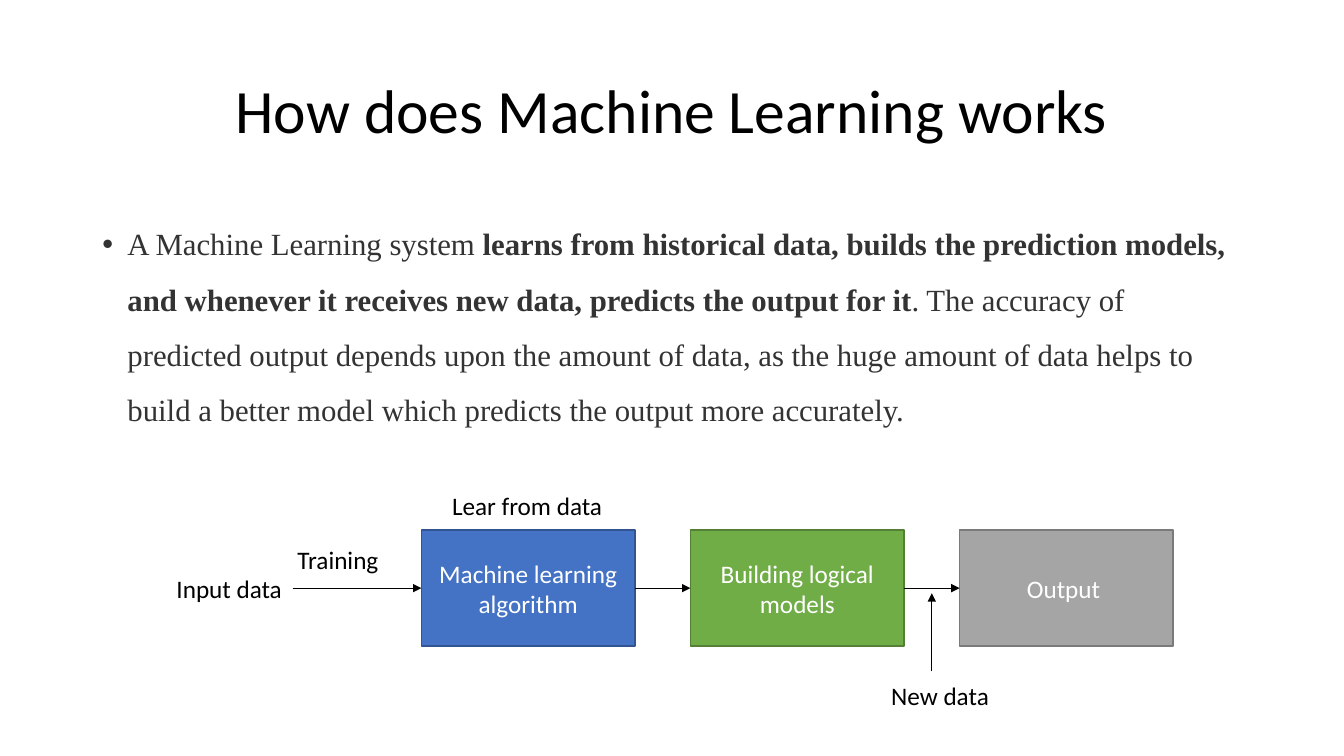
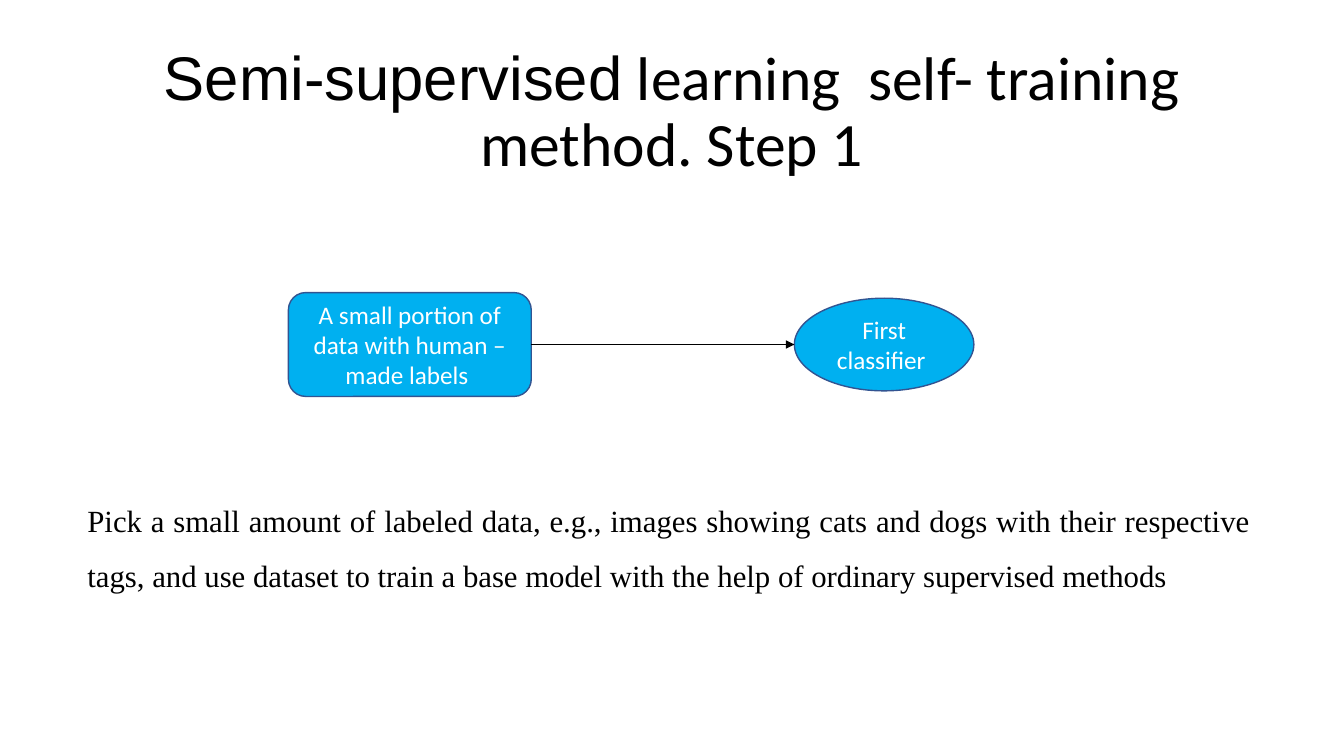
from lxml import etree
from pptx import Presentation
from pptx.dml.color import RGBColor
from pptx.enum.shapes import MSO_CONNECTOR, MSO_SHAPE
from pptx.enum.text import MSO_ANCHOR, MSO_AUTO_SIZE, PP_ALIGN
from pptx.oxml.ns import qn
from pptx.util import Pt

RECT, ROUND, OVAL = MSO_SHAPE.RECTANGLE, MSO_SHAPE.ROUNDED_RECTANGLE, MSO_SHAPE.OVAL
STRAIGHT = MSO_CONNECTOR.STRAIGHT
LEFT, MID, JUST = PP_ALIGN.LEFT, PP_ALIGN.CENTER, PP_ALIGN.JUSTIFY
TOP, CENTER = MSO_ANCHOR.TOP, MSO_ANCHOR.MIDDLE
FIXED = MSO_AUTO_SIZE.NONE

SANS, PLAIN, SERIF = "Calibri", "Arial", "Times New Roman"
COLORS = {
    "black": "000000", "white": "FFFFFF", "body": "333333",
    "blue": "4472C4", "navy": "325491", "green": "70AD47", "moss": "538035",
    "gray": "A5A5A5", "slate": "7A7A7A", "sky": "00B0F0",
}
LABEL_H = 28.8


def color(name):
    return RGBColor.from_string(COLORS[name])


def write(frame, runs, size=18, font=SANS, ink="black", align=LEFT,
          anchor=TOP, space=1.0, wrap=True, bullet=False):
    """Fill a frame with one paragraph; runs is text or (text, font, bold) rows."""
    frame.auto_size = FIXED
    frame.word_wrap = wrap
    frame.vertical_anchor = anchor
    para = frame.paragraphs[0]
    para.alignment = align
    para.line_spacing = space
    para.space_before = Pt(0)
    if bullet:
        props = para._p.get_or_add_pPr()
        props.set("marL", str(Pt(18)))
        props.set("indent", str(Pt(-18)))
        etree.SubElement(props, qn("a:buFont")).set("typeface", PLAIN)
        etree.SubElement(props, qn("a:buChar")).set("char", "•")
    for text, face, bold in [(runs, font, False)] if isinstance(runs, str) else runs:
        run = para.add_run()
        run.text = text
        run.font.size = Pt(size)
        run.font.name = face
        run.font.bold = bold
        run.font.color.rgb = color(ink)


def label(slide, x, y, w, h, text, **style):
    box = slide.shapes.add_textbox(Pt(x), Pt(y), Pt(w), Pt(h))
    write(box.text_frame, text, **style)
    return box


def node(slide, kind, x, y, w, h, text, fill, edge):
    shape = slide.shapes.add_shape(kind, Pt(x), Pt(y), Pt(w), Pt(h))
    shape.shadow.inherit = False
    shape.fill.solid()
    shape.fill.fore_color.rgb = color(fill)
    shape.line.color.rgb = color(edge)
    shape.line.width = Pt(1)
    write(shape.text_frame, text, ink="white", align=MID, anchor=CENTER)
    return shape


def arrow(slide, x1, y1, x2, y2):
    line = slide.shapes.add_connector(STRAIGHT, Pt(x1), Pt(y1), Pt(x2), Pt(y2))
    line.line.color.rgb = color("black")
    line.line.width = Pt(0.5)
    props = line._element.spPr
    etree.SubElement(props.find(qn("a:ln")), qn("a:tailEnd")).set("type", "triangle")
    etree.SubElement(props, qn("a:effectLst"))


def link(slide, start, end):
    """Arrow from the right side of one shape to the left side of the next."""
    y = (end.top + end.height / 2) / Pt(1)
    arrow(slide, (start.left + start.width) / Pt(1), y, end.left / Pt(1), y)


def page(deck, title):
    """Add a title-only slide with the shared title style."""
    slide = deck.slides.add_slide(deck.slide_layouts[5])
    head = slide.shapes.title
    head.left, head.top, head.width, head.height = Pt(66), Pt(29), Pt(828), Pt(104.4)
    write(head.text_frame, title, size=44, align=MID, anchor=CENTER, space=0.9)
    return slide


def flow(slide, x, y):
    """Learning pipeline, from input data to output."""
    first, top, wide, high, gap = x + 182, y + 31.7, 152.6, 82.8, 39.6
    mid = top + high / 2
    steps = [
        ("Machine learning algorithm", "blue", "navy"),
        ("Building logical models", "green", "moss"),
        ("Output ", "gray", "slate"),
    ]
    boxes = [node(slide, RECT, first + i * (wide + gap), top, wide, high, *step)
             for i, step in enumerate(steps)]

    # Labels around the boxes
    for text, left, up, w in [
        ("Input data", x, mid - LABEL_H / 2, 90.7),
        ("Training", x + 86.4, y + 38.2, 72.7),
        ("Lear from data", first + (wide - 123) / 2, y, 123),
        ("New data", x + 510.5, y + 135.4, 85),
    ]:
        label(slide, left, up, w, LABEL_H, text, wrap=False)

    # Arrows
    arrow(slide, x + 90, mid, first, mid)
    for start, end in zip(boxes, boxes[1:]):
        link(slide, start, end)
    feed = first + 2 * wide + 1.5 * gap
    arrow(slide, feed, y + 132.5, feed, mid + 3.6)


def train(slide, x, y):
    """Labeled data feeding the first classifier."""
    data = node(slide, ROUND, x, y, 173.5, 74.2,
                "A small portion of data with human – made labels ", "sky", "navy")
    model = node(slide, OVAL, x + 361.4, y + 4, 128.2, 66.2,
                 "First classifier ", "sky", "navy")
    link(slide, data, model)


def main():
    deck = Presentation()
    deck.slide_width, deck.slide_height = Pt(960), Pt(540)

    # How learning works
    slide = page(deck, "How does Machine Learning works")
    label(slide, 66, 144, 828, 180, [
        ("A Machine Learning system\u00a0", SERIF, False),
        ("learns from historical data, builds the prediction models, and whenever "
         "it receives new data, predicts the output for it", SERIF, True),
        (". The accuracy of predicted output depends upon the amount of data, as the "
         "huge amount of data helps to build a better model which predicts the output "
         "more accurately.", SERIF, False),
    ], size=22, ink="body", space=1.5, bullet=True)
    flow(slide, 119, 347)

    # Self-training, step 1
    slide = page(deck, [
        ("Semi-supervised", PLAIN, False),
        (" learning  self- training method. Step 1", SANS, False),
    ])
    train(slide, 206, 209)
    label(slide, 55.4, 341.3, 844.6, 82.8,
          "Pick a small amount of labeled data, e.g., images showing cats and dogs with "
          "their respective tags, and use dataset to train a base model with the help of "
          "ordinary supervised methods",
          size=22, font=SERIF, align=JUST, space=1.5)

    deck.save("out.pptx")


if __name__ == "__main__":
    main()
